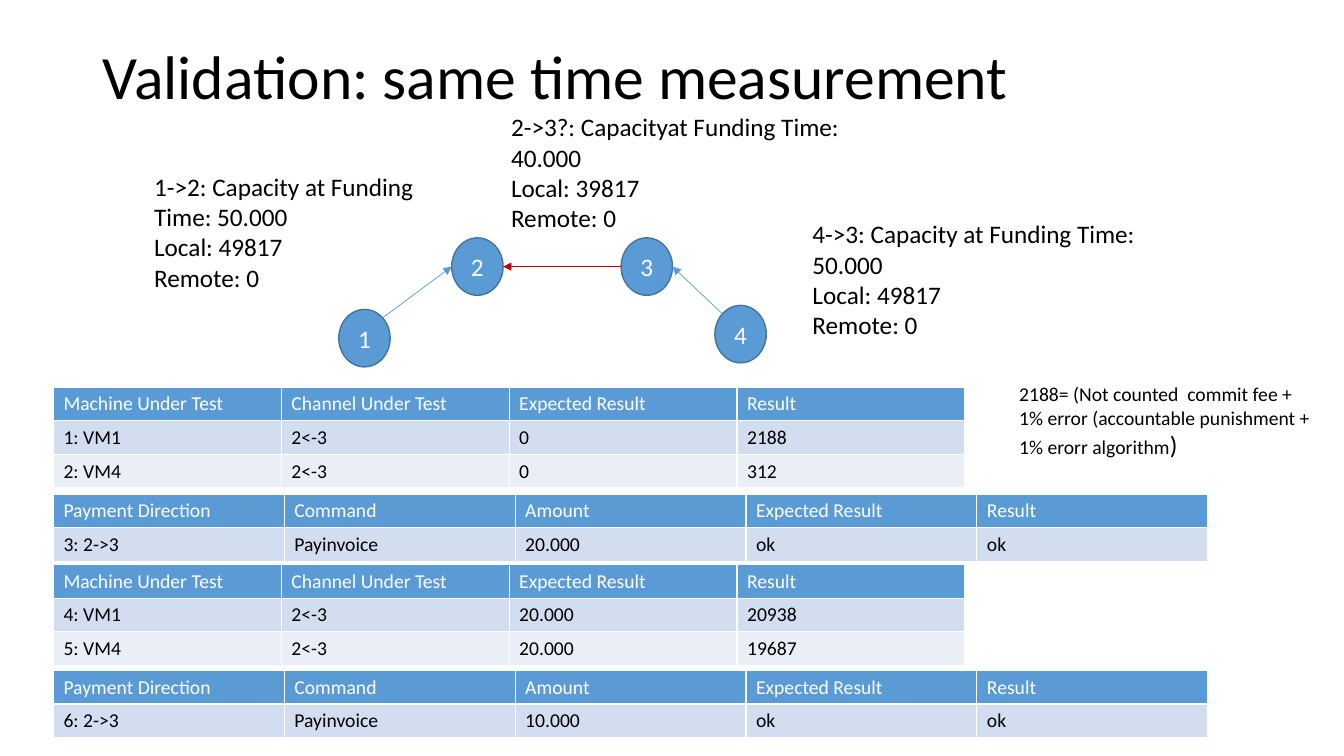
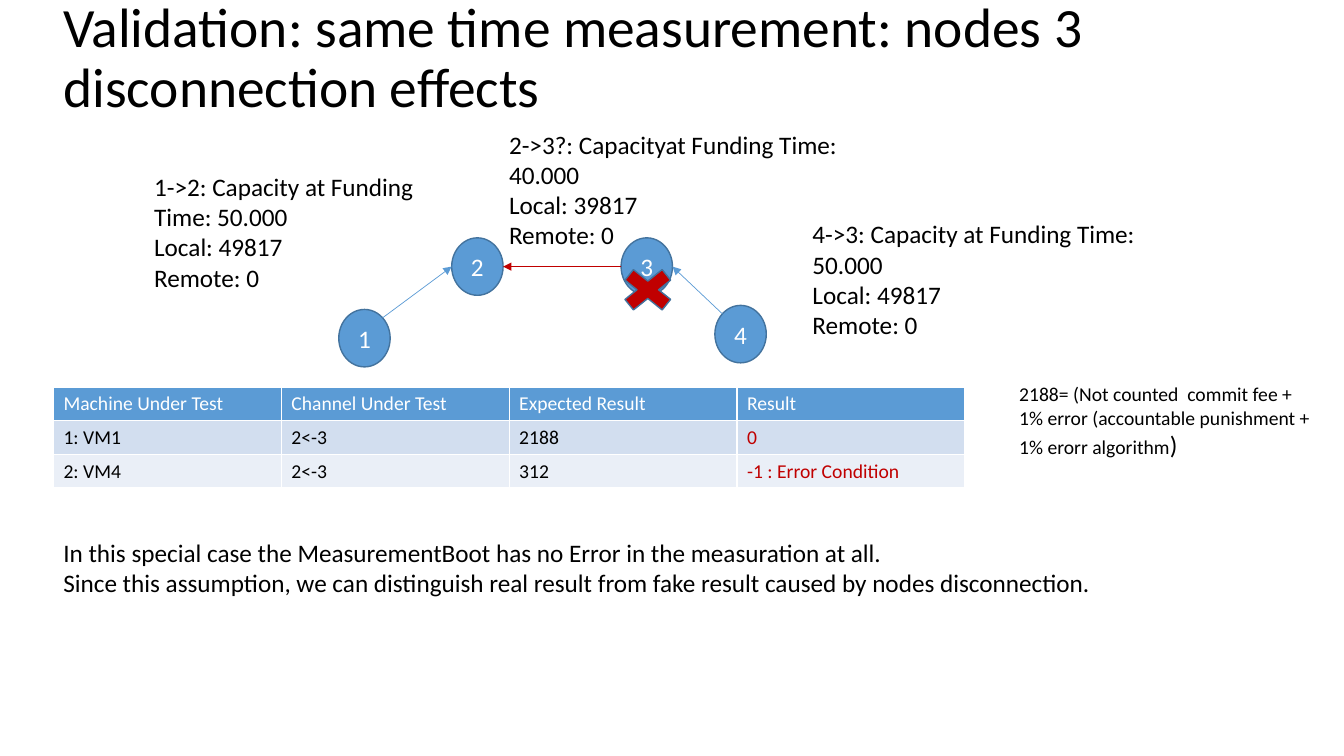
from lxml import etree
from pptx import Presentation
from pptx.dml.color import RGBColor
from pptx.enum.shapes import MSO_CONNECTOR, MSO_SHAPE
from pptx.enum.text import MSO_ANCHOR, PP_ALIGN
from pptx.oxml.ns import qn
from pptx.util import Emu, Pt

STRAIGHT = MSO_CONNECTOR.STRAIGHT
OVAL, CROSS = MSO_SHAPE.OVAL, MSO_SHAPE.MATH_MULTIPLY
MIDDLE, CENTER, LEFT = MSO_ANCHOR.MIDDLE, PP_ALIGN.CENTER, PP_ALIGN.LEFT

PX = 9144  # 100 px to the inch
FONT = "Calibri"
BLACK, WHITE, RED = "000000", "FFFFFF", "C00000"
BLUE, OUTLINE = "5B9BD5", "43739E"
BANDS = ("D2DEEF", "EAEFF7")

NODE_WIDTH, NODE_HEIGHT = 51, 57
NODES = {"1": (336, 307), "4": (709, 303), "2": (448, 236), "3": (616, 236)}
DIAGONAL = 0.71  # sine of 45 degrees: a point between two sides of a node
CHANNELS = [
    ("1", (DIAGONAL, -DIAGONAL), "2", (-1, 0), BLUE),
    ("3", (-1, 0), "2", (1, 0), RED),
    ("4", (-DIAGONAL, -DIAGONAL), "3", (1, 0), BLUE),
]

TABLE_LEFT, ROW_HEIGHT = 53, 33
MACHINE_WIDTH, PAYMENT_WIDTH = 226, 229
MACHINE_HEADER = ["Machine Under Test", "Channel Under Test", "Expected Result", "Result"]
PAYMENT_HEADER = ["Payment Direction", "Command", "Amount", "Expected Result", "Result"]


def px(length):
    return Emu(round(length * PX))


def color(value):
    return RGBColor.from_string(value)


def style_paragraph(para, size, ink=BLACK, align=LEFT):
    para.alignment = align
    para.font.name = FONT
    para.font.size = Pt(size)
    para.font.bold = False
    para.font.color.rgb = color(ink)


def add_text(page, box, lines, size=18):
    frame = page.shapes.add_textbox(*map(px, box)).text_frame
    frame.word_wrap = True
    frame.text = "\n".join(lines)
    for para in frame.paragraphs:
        style_paragraph(para, size)
    return frame


def add_title(page, box, title, size):
    frame = add_text(page, box, [title], size)
    frame.vertical_anchor = MIDDLE
    frame.margin_top = frame.margin_bottom = 0
    frame.paragraphs[0].line_spacing = 0.9


def add_outlined_shape(page, kind, box, fill):
    shape = page.shapes.add_shape(kind, *map(px, box))
    shape.shadow.inherit = False
    shape.fill.solid()
    shape.fill.fore_color.rgb = color(fill)
    shape.line.color.rgb = color(OUTLINE)
    shape.line.width = Pt(1)
    return shape


def add_node(page, name):
    node = add_outlined_shape(page, OVAL, (*NODES[name], NODE_WIDTH, NODE_HEIGHT), BLUE)
    node.text_frame.text = name
    node.text_frame.vertical_anchor = MIDDLE
    style_paragraph(node.text_frame.paragraphs[0], 18, WHITE, CENTER)


def node_edge(name, direction):
    """Point on a node's outline; direction is its offset from the centre in radii."""
    left, top = NODES[name]
    across, down = direction
    return (px(left + NODE_WIDTH * (1 + across) / 2),
            px(top + NODE_HEIGHT * (1 + down) / 2))


def add_channel(page, source, source_side, target, target_side, ink):
    arrow = page.shapes.add_connector(
        STRAIGHT, *node_edge(source, source_side), *node_edge(target, target_side))
    arrow.line.color.rgb = color(ink)
    arrow.line.width = Pt(0.5)
    line = arrow.line._get_or_add_ln()
    etree.SubElement(line, qn("a:tailEnd"), type="triangle")
    etree.SubElement(arrow._element.spPr, qn("a:effectLst"))


def add_capacity(page, box, channel, amount, local):
    add_text(page, box, [f"{channel} Funding Time: {amount}", f"Local: {local}", "Remote: 0"])


def add_network(page, middle_label_box):
    for name in NODES:
        add_node(page, name)
    for channel in CHANNELS:
        add_channel(page, *channel)
    add_capacity(page, (143, 165, 335, 162), "1->2: Capacity at", "50.000", "49817")
    add_capacity(page, middle_label_box, "2->3?: Capacityat", "40.000", "39817")
    add_capacity(page, (796, 212, 350, 162), "4->3: Capacity at", "50.000", "49817")


def set_borders(cell):
    properties = cell._tc.get_or_add_tcPr()
    for side in ("lnL", "lnR", "lnT", "lnB"):
        line = etree.SubElement(properties, qn(f"a:{side}"), w=str(Pt(1)))
        fill = etree.SubElement(line, qn("a:solidFill"))
        etree.SubElement(fill, qn("a:srgbClr"), val=WHITE)


def fill_cell(cell, text, fill, ink):
    set_borders(cell)
    cell.fill.solid()
    cell.fill.fore_color.rgb = color(fill)
    cell.text = text
    style_paragraph(cell.text_frame.paragraphs[0], 14, ink)


def add_grid(page, top, column_width, header, rows, result_ink=BLACK):
    """Header row plus banded rows; result_ink colours the last column."""
    count = len(header)
    table = page.shapes.add_table(
        len(rows) + 1, count, px(TABLE_LEFT), px(top),
        px(column_width * count), px(ROW_HEIGHT * (len(rows) + 1))).table
    for column in table.columns:
        column.width = px(column_width)
    for index, text in enumerate(header):
        fill_cell(table.cell(0, index), text, BLUE, WHITE)
    for number, values in enumerate(rows):
        for index, text in enumerate(values):
            ink = result_ink if index == count - 1 else BLACK
            fill_cell(table.cell(number + 1, index), text, BANDS[number % 2], ink)


def add_machines(page, top, rows, result_ink=BLACK):
    add_grid(page, top, MACHINE_WIDTH, MACHINE_HEADER, rows, result_ink)


def add_payment(page, top, direction, amount):
    row = [direction, "Payinvoice", amount, "ok", "ok"]
    add_grid(page, top, PAYMENT_WIDTH, PAYMENT_HEADER, [row])


def add_error_note(page):
    note = "2188= (Not counted  commit fee + 1% error (accountable punishment + 1% erorr algorithm"
    frame = add_text(page, (1001, 374, 315, 88), [note], 14)
    span = frame.paragraphs[0].add_run()
    span.text = ")"
    span.font.size = Pt(18)


def build_measurement(page):
    add_title(page, (92, 40, 1150, 78), "Validation: same time measurement", 44)
    add_network(page, (497, 106, 375, 192))
    add_machines(page, 384, [["1: VM1", "2<-3", "0", "2188"],
                             ["2: VM4", "2<-3", "0", "312"]])
    add_payment(page, 490, "3: 2->3", "20.000")
    add_machines(page, 560, [["4: VM1", "2<-3", "20.000", "20938"],
                             ["5: VM4", "2<-3", "20.000", "19687"]])
    add_payment(page, 665, "6: 2->3", "10.000")
    add_error_note(page)


def build_disconnection(page):
    add_title(page, (53, 0, 1150, 118),
              "Validation: same time measurement: nodes 3 disconnection effects", 39.6)
    add_network(page, (495, 123, 375, 192))
    add_machines(page, 384, [["1: VM1", "2<-3", "2188", "0"],
                             ["2: VM4", "2<-3", "312", "-1 : Error Condition"]], RED)
    add_error_note(page)
    add_text(page, (53, 528, 1166, 101), [
        "In this special case the MeasurementBoot has no Error in the measuration at all.",
        "Since this assumption, we can distinguish real result from fake result "
        "caused by nodes disconnection."])
    add_outlined_shape(page, CROSS, (607, 259, 71, 57), RED)


def main():
    deck = Presentation()
    deck.slide_width, deck.slide_height = px(1333), px(750)
    blank = deck.slide_layouts[6]
    for build in (build_measurement, build_disconnection):
        build(deck.slides.add_slide(blank))
    deck.save("out.pptx")


if __name__ == "__main__":
    main()
